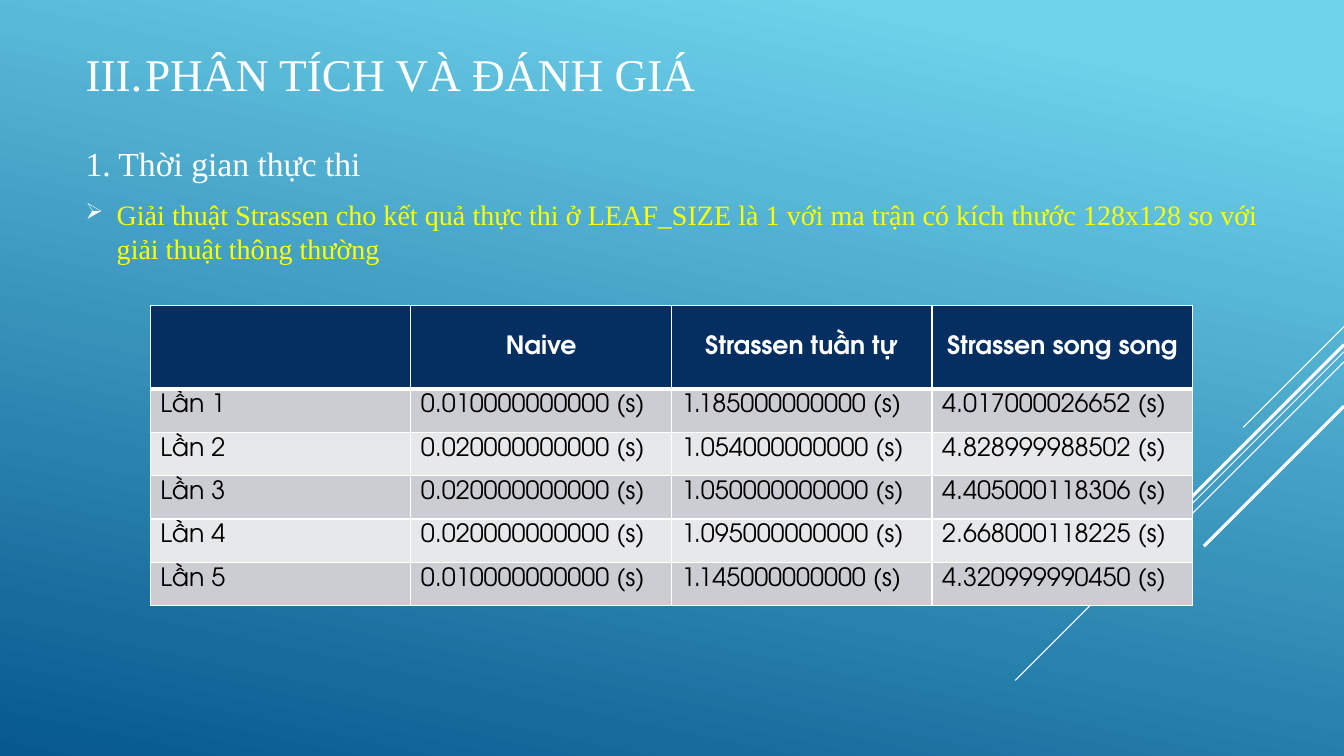
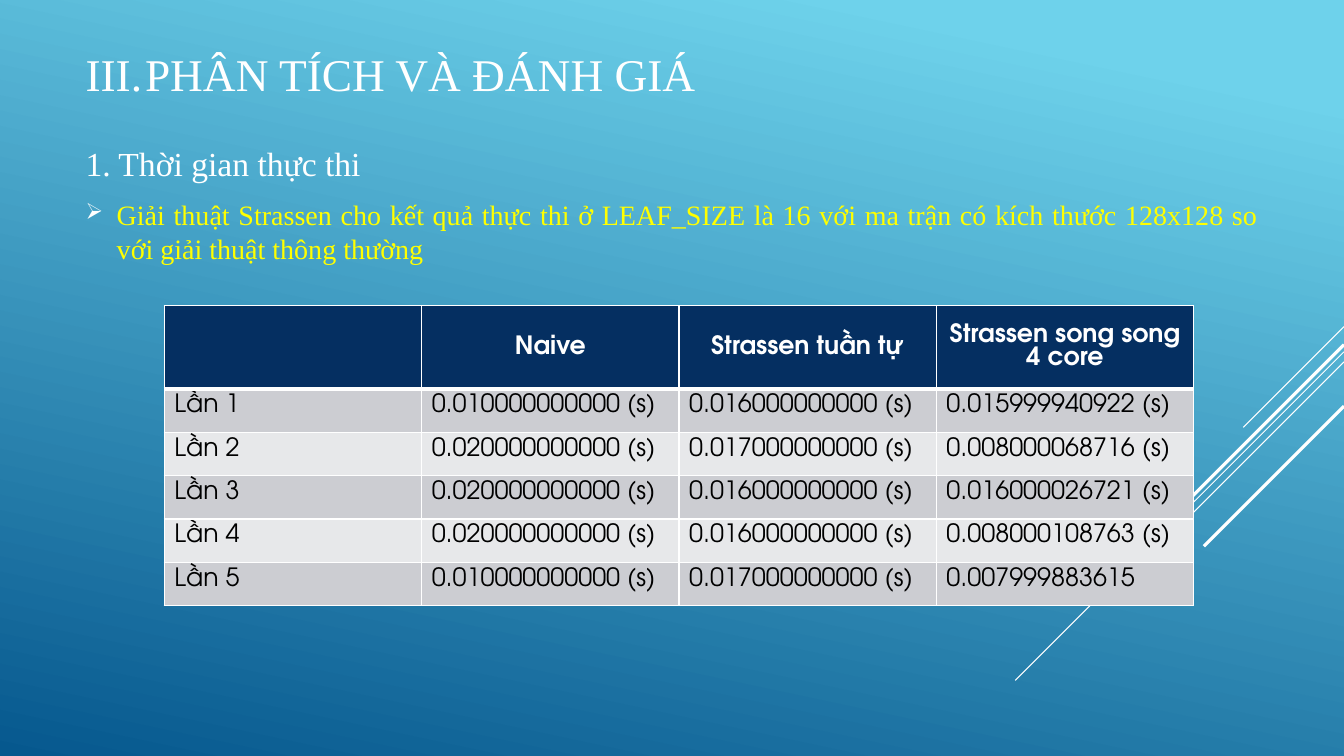
from dataclasses import dataclass

from lxml.etree import SubElement
from pptx import Presentation
from pptx.dml.color import RGBColor
from pptx.enum.text import MSO_ANCHOR, PP_ALIGN
from pptx.oxml.ns import qn
from pptx.util import Inches, Pt

COLORS = {
    "white": "FFFFFF",
    "black": "000000",
    "yellow": "FFFF00",
    "sky": "6ED2EB",
    "deep": "06588E",
    "navy": "052F61",
    "odd": "CCCDD2",
    "even": "E7E8EA",
}
SERIF = "Times New Roman"
SANS = "TeX Gyre Adventor"
WIDTH = 13.33
TITLE = "PHÂN TÍCH VÀ ĐÁNH GIÁ"
TOPIC = "1. Thời gian thực thi"
NAIVE = ["0.010000000000 (s)", *["0.020000000000 (s)"] * 3, "0.010000000000 (s)"]


@dataclass
class Ray:
    top: float
    run: float
    weight: float


@dataclass
class Page:
    leaf: int
    left: float
    width: float
    last: str
    serial: list[str]
    threads: list[str]


RAYS = [
    Ray(3.24, 1, 0.75),
    Ray(3.49, 3.26, 0.75),
    Ray(3.59, 2.07, 0.75),
    Ray(3.42, 1.91, 2.25),
    Ray(4.03, 1.39, 2.25),
]
PAGES = [
    Page(
        1, 1.49, 10.34, "Strassen song song",
        ["1.185000000000 (s)", "1.054000000000 (s)", "1.050000000000 (s)",
         "1.095000000000 (s)", "1.145000000000 (s)"],
        ["4.017000026652 (s)", "4.828999988502 (s)", "4.405000118306 (s)",
         "2.668000118225 (s)", "4.320999990450 (s)"],
    ),
    Page(
        16, 1.63, 10.21, "Strassen song song 4 core",
        ["0.016000000000 (s)", "0.017000000000 (s)", "0.016000000000 (s)",
         "0.016000000000 (s)", "0.017000000000 (s)"],
        ["0.015999940922 (s)", "0.008000068716 (s)", "0.016000026721 (s)",
         "0.008000108763 (s)", "0.007999883615"],
    ),
]


def tint(name: str) -> RGBColor:
    return RGBColor.from_string(COLORS[name])


def add_run(para, text: str, size: float, color: str, face: str = SERIF, bold: bool = False) -> None:
    run = para.add_run()
    run.text = text
    font = run.font
    font.name, font.size, font.bold = face, Pt(size), bold
    font.color.rgb = tint(color)


def add_box(slide, left: float, top: float, width: float, height: float):
    box = slide.shapes.add_textbox(*map(Inches, (left, top, width, height)))
    box.text_frame.word_wrap = True
    return box.text_frame


def indent(para, size: float):
    props = para._p.get_or_add_pPr()
    props.set("marL", str(Inches(size)))
    props.set("indent", str(-Inches(size)))
    return props


def draw_back(slide) -> None:
    fill = slide.background.fill
    fill.gradient()
    fill.gradient_angle = 258
    for stop, name, place in zip(fill.gradient_stops, ("sky", "deep"), (0.1, 1)):
        stop.color.rgb = tint(name)
        stop.position = place
    for ray in RAYS:
        ends = (WIDTH, ray.top, WIDTH - ray.run, ray.top + ray.run)
        line = slide.shapes.add_connector(1, *map(Inches, ends))
        line.line.color.rgb = tint("white")
        line.line.width = Pt(ray.weight)
        SubElement(line._element.spPr, qn("a:effectLst"))


def draw_title(slide) -> None:
    frame = add_box(slide, 0.75, 0.39, 9.33, 0.67)
    frame.vertical_anchor = MSO_ANCHOR.MIDDLE
    para = frame.paragraphs[0]
    props = indent(para, 0.59)
    SubElement(props, qn("a:buAutoNum"), type="romanUcPeriod", startAt="3")
    add_run(para, TITLE, 32.4, "white")


def draw_body(slide, leaf: int) -> None:
    frame = add_box(slide, 0.75, 1.37, 11.83, 4.21)
    claim = (
        f"Giải thuật Strassen cho kết quả thực thi ở LEAF_SIZE là {leaf} "
        "với ma trận có kích thước 128x128 so với giải thuật thông thường"
    )
    topic, point = frame.paragraphs[0], frame.add_paragraph()
    for para, text, size, color in ((topic, TOPIC, 24, "white"), (point, claim, 20, "yellow")):
        para.alignment = PP_ALIGN.JUSTIFY
        para.space_before, para.space_after = Pt(size * 0.2), Pt(6)
        add_run(para, text, size, color)
    props = indent(point, 0.31)
    SubElement(SubElement(props, qn("a:buClr")), qn("a:srgbClr"), val=COLORS["white"])
    SubElement(props, qn("a:buSzPct"), val="80000")
    SubElement(props, qn("a:buChar"), char="➢")


def style_cell(cell, row: int) -> None:
    props = cell._tc.get_or_add_tcPr()
    sides = {"L": 1, "R": 1, "T": 3 if row == 1 else 1, "B": 3 if row == 0 else 1}
    for side, weight in sides.items():
        edge = SubElement(props, qn(f"a:ln{side}"), w=str(Pt(weight)))
        SubElement(SubElement(edge, qn("a:solidFill")), qn("a:srgbClr"), val=COLORS["white"])
    cell.fill.solid()
    cell.fill.fore_color.rgb = tint("navy" if row == 0 else "odd" if row % 2 else "even")


def draw_table(slide, page: Page) -> None:
    labels = [f"Lần {turn}" for turn in range(1, 6)]
    rows = [("", "Naive", "Strassen tuần tự", page.last),
            *zip(labels, NAIVE, page.serial, page.threads)]
    place = map(Inches, (page.left, 3.03, page.width, 2.98))
    table = slide.shapes.add_table(len(rows), len(rows[0]), *place).table
    table.horz_banding = False
    for row, texts in enumerate(rows):
        head = row == 0
        table.rows[row].height = Inches(0.83 if head else 0.43)
        for col, text in enumerate(texts):
            cell = table.cell(row, col)
            style_cell(cell, row)
            para = cell.text_frame.paragraphs[0]
            if head:
                cell.vertical_anchor = MSO_ANCHOR.MIDDLE
                para.alignment = PP_ALIGN.CENTER
            if text:
                add_run(para, text, 18, "white" if head else "black", SANS, head)


def main() -> None:
    deck = Presentation()
    deck.slide_width, deck.slide_height = Inches(WIDTH), Inches(7.5)
    for page in PAGES:
        slide = deck.slides.add_slide(deck.slide_layouts[6])
        draw_back(slide)
        draw_title(slide)
        draw_body(slide, page.leaf)
        draw_table(slide, page)
    deck.save("out.pptx")


if __name__ == "__main__":
    main()
